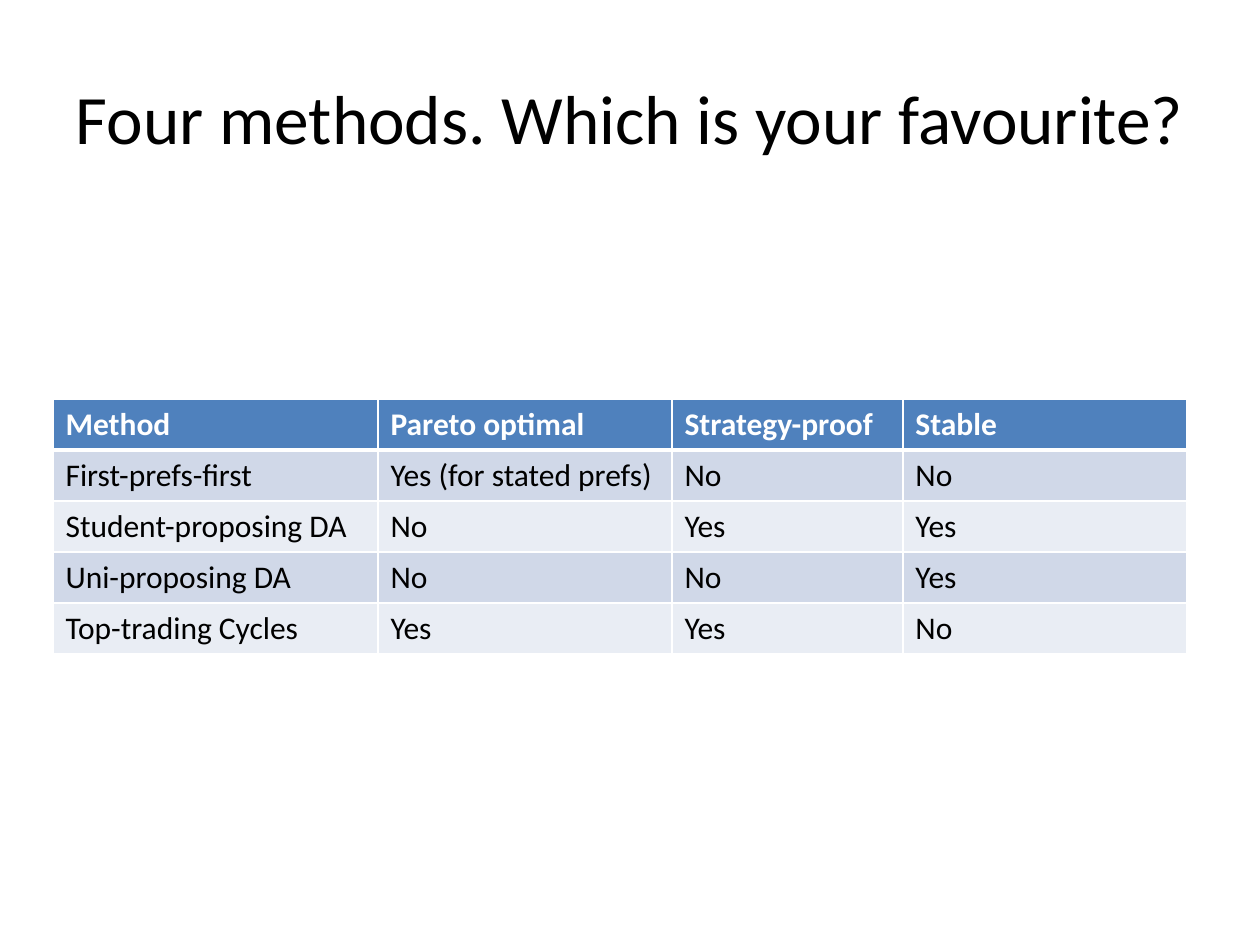
from dataclasses import dataclass

from lxml import etree
from pptx import Presentation
from pptx.dml.color import RGBColor
from pptx.enum.text import MSO_ANCHOR, PP_ALIGN
from pptx.oxml.ns import qn
from pptx.util import Emu, Pt

PIXEL = 914400 / 126
FONT = "Calibri"
WHITE = "FFFFFF"
BLACK = "000000"


@dataclass(frozen=True)
class RowStyle:
    fill: str
    text: str
    bold: bool
    top: int
    bottom: int


HEADER = RowStyle("4F81BD", WHITE, True, 1, 3)
FIRST = RowStyle("D0D8E8", BLACK, False, 3, 1)
ODD = RowStyle("D0D8E8", BLACK, False, 1, 1)
EVEN = RowStyle("E9EDF4", BLACK, False, 1, 1)

METHODS = [
    (HEADER, ("Method", "Pareto optimal", "Strategy-proof", "Stable")),
    (FIRST, ("First-prefs-first", "Yes (for stated prefs)", "No", "No")),
    (EVEN, ("Student-proposing DA", "No", "Yes", "Yes")),
    (ODD, ("Uni-proposing DA", "No", "No", "Yes")),
    (EVEN, ("Top-trading Cycles", "Yes", "Yes", "No")),
]
COLUMN_WIDTHS = (325, 294, 231, 284)
ROW_HEIGHT = 51


def px(length: int) -> Emu:
    return Emu(round(length * PIXEL))


def color(value: str) -> RGBColor:
    return RGBColor.from_string(value)


def write(frame, text: str, size: float, ink: str, bold: bool = False):
    paragraph = frame.paragraphs[0]
    run = paragraph.add_run()
    run.text = text
    run.font.name = FONT
    run.font.size = Pt(size)
    run.font.bold = bold
    run.font.color.rgb = color(ink)
    return paragraph


def set_borders(cell, style: RowStyle) -> None:
    properties = cell._tc.get_or_add_tcPr()
    widths = {"a:lnL": 1, "a:lnR": 1, "a:lnT": style.top, "a:lnB": style.bottom}
    for position, (tag, width) in enumerate(widths.items()):
        line = etree.Element(qn(tag), w=str(Pt(width)))
        fill = etree.SubElement(line, qn("a:solidFill"))
        etree.SubElement(fill, qn("a:srgbClr"), val=WHITE)
        properties.insert(position, line)


def add_title(slide, text: str) -> None:
    box = slide.shapes.add_textbox(px(63), px(38), px(1134), px(158))
    frame = box.text_frame
    frame.word_wrap = True
    frame.vertical_anchor = MSO_ANCHOR.MIDDLE
    write(frame, text, 39.6, BLACK).alignment = PP_ALIGN.CENTER


def add_methods_table(slide) -> None:
    table = slide.shapes.add_table(
        len(METHODS), len(COLUMN_WIDTHS), px(53), px(399),
        px(sum(COLUMN_WIDTHS)), px(ROW_HEIGHT * len(METHODS)),
    ).table
    for column, width in zip(table.columns, COLUMN_WIDTHS):
        column.width = px(width)
    for row, (style, texts) in zip(table.rows, METHODS):
        row.height = px(ROW_HEIGHT)
        for cell, text in zip(row.cells, texts):
            cell.fill.solid()
            cell.fill.fore_color.rgb = color(style.fill)
            set_borders(cell, style)
            write(cell.text_frame, text, 18, style.text, style.bold)


presentation = Presentation()
presentation.slide_width = px(1260)
presentation.slide_height = px(945)
slide = presentation.slides.add_slide(presentation.slide_layouts[6])
add_title(slide, "Four methods. Which is your favourite?")
add_methods_table(slide)
presentation.save("out.pptx")
